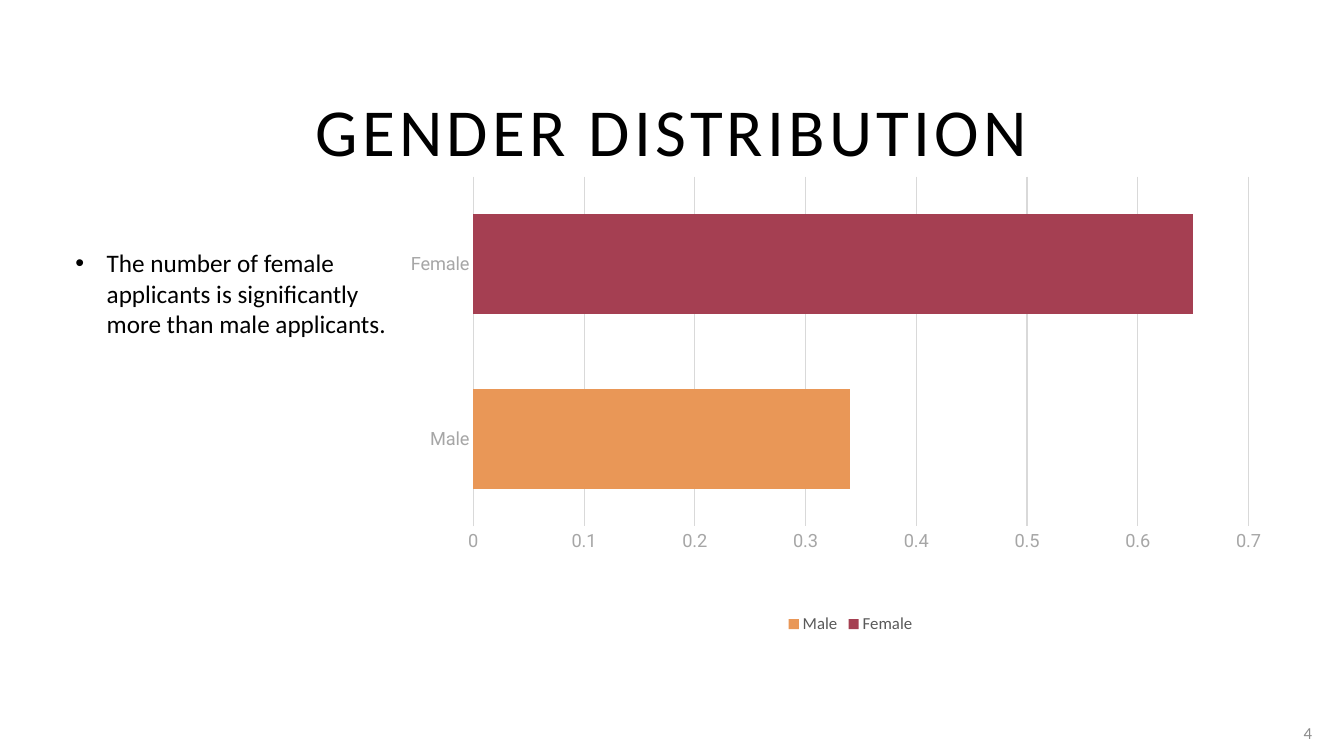
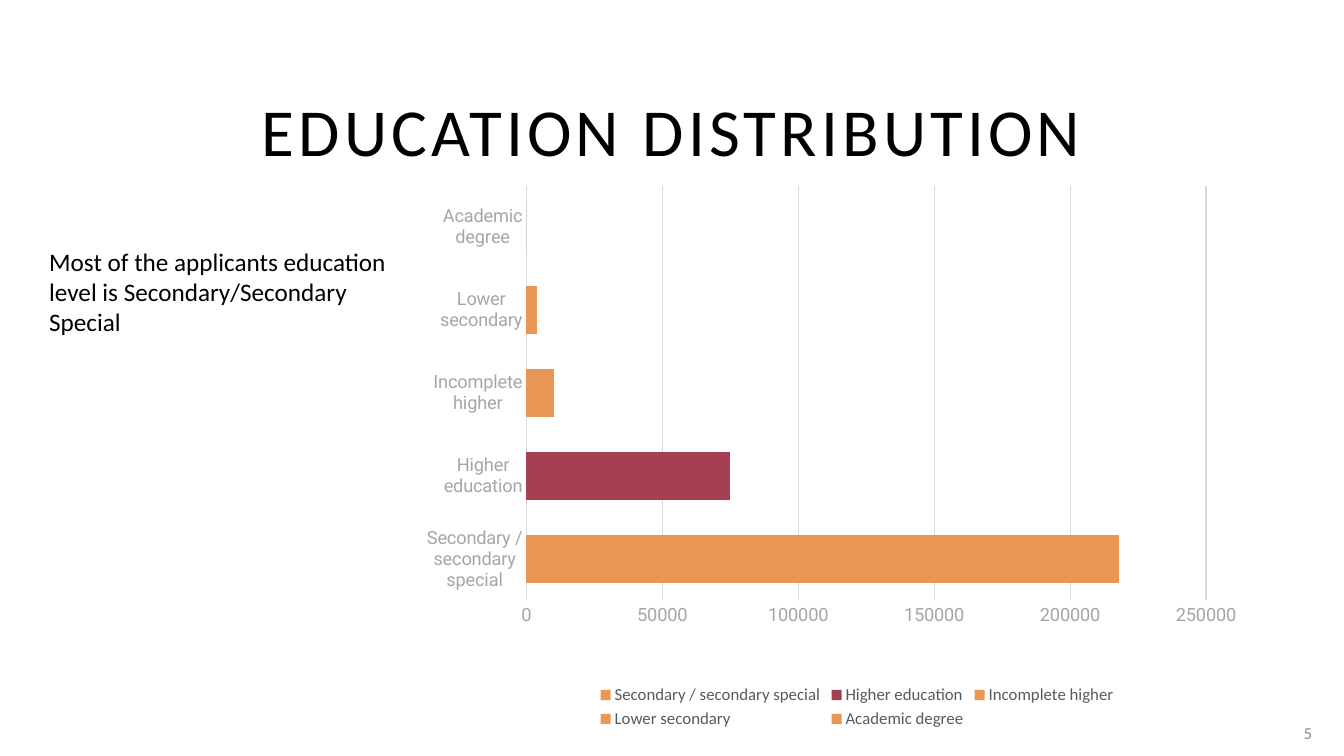
import pptx
import pptx.chart.data
import pptx.dml.color
import pptx.enum.chart
import pptx.enum.text
import pptx.oxml
import pptx.oxml.ns
import pptx.util

Cm, Pt = pptx.util.Cm, pptx.util.Pt
RGB = pptx.dml.color.RGBColor
ALIGN = pptx.enum.text.PP_ALIGN
MID = pptx.enum.text.MSO_ANCHOR.MIDDLE
TICK = pptx.enum.chart.XL_TICK_MARK.NONE
NS = pptx.oxml.ns.nsdecls

# Shared look
BLACK = RGB(0x00, 0x00, 0x00)
ORANGE = RGB(0xE9, 0x97, 0x57)
WINE = RGB(0xA5, 0x3F, 0x52)
LABEL = RGB(0xA6, 0xA6, 0xA6)
RULE = RGB(0xD9, 0xD9, 0xD9)
KEY = RGB(0x59, 0x59, 0x59)
FOOT = RGB(0x8C, 0x8C, 0x8C)
BODY, DATA = "Calibri", "Roboto"

# Boxes in cm: left, top, width, height
TITLE = (1.65, 2.13, 30.56, 2.29)
NUMBER = (32.08, 17.96, 1.24, 1.02)
PLOT = {"x": 0.118, "y": 0.095, "w": 0.785, "h": 0.686}

# Content
PAGES = [
    {
        "title": "GENDER DISTRIBUTION",
        "number": "4",
        "note": "The number of female applicants is significantly more than male applicants.",
        "bullet": True,
        "note_box": (1.65, 6.12, 8.59, 2.57),
        "chart_box": (8.99, 3.23, 24.89, 12.85),
        "series": "Value Counts",
        "data": [("Male", 0.34), ("Female", 0.65)],
        "scale": (0.7, 0.1),
    },
    {
        "title": "EDUCATION DISTRIBUTION",
        "number": "5",
        "note": "Most of the applicants education level is Secondary/Secondary Special",
        "bullet": False,
        "note_box": (0.99, 6.07, 9.7, 2.57),
        "chart_box": (10.69, 3.23, 21.82, 15.24),
        "series": "Number of Applications",
        "data": [
            ("Secondary / secondary special", 218000),
            ("Higher education", 75000),
            ("Incomplete higher", 10000),
            ("Lower secondary", 4000),
            ("Academic degree", 0),
        ],
        "scale": (250000, 50000),
    },
]


def place(box):
    return [Cm(n) for n in box]


def style(font, size, color, name=BODY):
    font.size, font.name = Pt(size), name
    font.color.rgb = color


def add_title(slide, text):
    title = slide.shapes.title
    title.left, title.top, title.width, title.height = place(TITLE)
    frame = title.text_frame
    frame.text = text
    frame.vertical_anchor = MID
    par = frame.paragraphs[0]
    par.alignment = ALIGN.CENTER
    style(par.font, 48, BLACK)
    # Letter spacing of 3 pt
    par._p.pPr.find(pptx.oxml.ns.qn("a:defRPr")).set("spc", "300")


def add_text(slide, box, text, size, color):
    frame = slide.shapes.add_textbox(*place(box)).text_frame
    frame.word_wrap = True
    frame.text = text
    style(frame.paragraphs[0].font, size, color)
    return frame


def add_bullet(par):
    props = par._p.get_or_add_pPr()
    props.set("marL", str(Cm(0.79)))
    props.set("indent", str(-Cm(0.79)))
    props.insert(0, pptx.oxml.parse_xml(f'<a:buChar {NS("a")} char="•"/>'))
    props.insert(0, pptx.oxml.parse_xml(f'<a:buFont {NS("a")} typeface="Arial"/>'))


def fix_plot(chart):
    """Pin the inner plot area to fixed shares of the chart."""
    modes = "".join(f'<c:{k}Mode val="edge"/>' for k in "xy")
    sizes = "".join(f'<c:{k} val="{v}"/>' for k, v in PLOT.items())
    area = chart._chartSpace.chart.plotArea
    for old in area.findall(pptx.oxml.ns.qn("c:layout")):
        area.remove(old)
    area.insert(0, pptx.oxml.parse_xml(
        f'<c:layout {NS("c")}><c:manualLayout><c:layoutTarget val="inner"/>'
        f'{modes}{sizes}</c:manualLayout></c:layout>'))


def add_bars(slide, page):
    data = pptx.chart.data.CategoryChartData()
    names, values = zip(*page["data"])
    data.categories = names
    data.add_series(page["series"], values)
    kind = pptx.enum.chart.XL_CHART_TYPE.BAR_CLUSTERED
    chart = slide.shapes.add_chart(kind, *place(page["chart_box"]), data).chart
    chart.has_title = False
    style(chart.font, 15, BLACK, DATA)
    fix_plot(chart)

    # Bars: the second one stands out
    plot = chart.plots[0]
    plot.gap_width = 75
    plot.vary_by_categories = True
    series = plot.series[0]
    series.format.fill.solid()
    series.format.fill.fore_color.rgb = ORANGE
    for i in range(len(names)):
        fill = series.points[i].format.fill
        fill.solid()
        fill.fore_color.rgb = WINE if i == 1 else ORANGE

    # Axes
    cat, val = chart.category_axis, chart.value_axis
    for axis in (cat, val):
        axis.major_tick_mark = axis.minor_tick_mark = TICK
        style(axis.tick_labels.font, 13, LABEL, DATA)
    val.minimum_scale = 0
    val.maximum_scale, val.major_unit = page["scale"]
    val.format.line.fill.background()
    for line in (cat.format.line, val.major_gridlines.format.line):
        line.color.rgb = RULE
        line.width = Pt(0.75)

    # Legend
    chart.has_legend = True
    chart.legend.position = pptx.enum.chart.XL_LEGEND_POSITION.BOTTOM
    chart.legend.include_in_layout = False
    style(chart.legend.font, 12, KEY)


def add_page(deck, page):
    slide = deck.slides.add_slide(deck.slide_layouts[5])
    add_title(slide, page["title"])
    add_bars(slide, page)
    foot = add_text(slide, NUMBER, page["number"], 12, FOOT)
    foot.vertical_anchor = MID
    foot.paragraphs[0].alignment = ALIGN.RIGHT
    note = add_text(slide, page["note_box"], page["note"], 18, BLACK)
    note.auto_size = pptx.enum.text.MSO_AUTO_SIZE.SHAPE_TO_FIT_TEXT
    if page["bullet"]:
        add_bullet(note.paragraphs[0])


def main():
    deck = pptx.Presentation()
    deck.slide_width, deck.slide_height = Cm(33.87), Cm(19.05)
    for page in PAGES:
        add_page(deck, page)
    deck.save("out.pptx")


if __name__ == "__main__":
    main()
